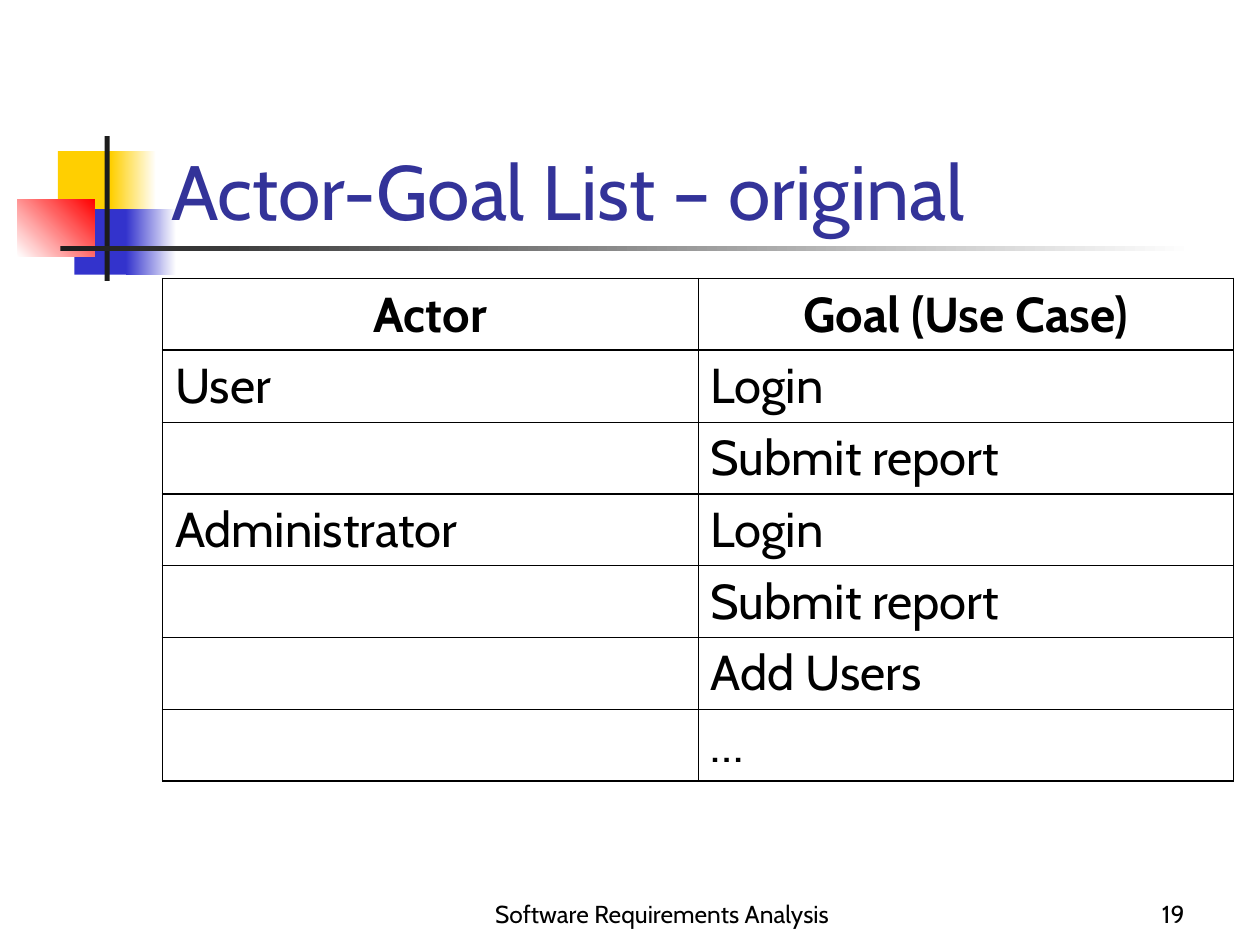
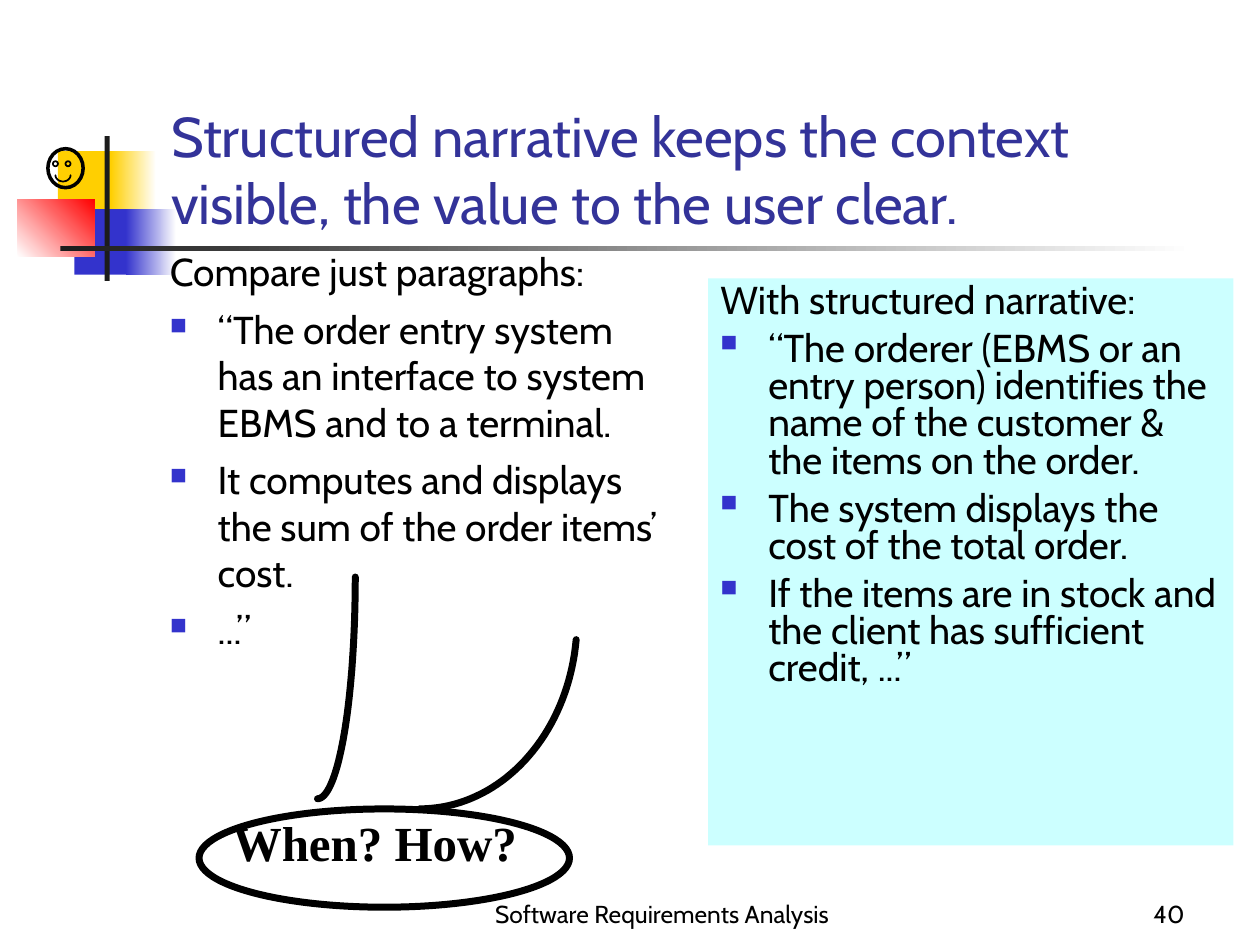
"""Builds two slides on actors, goals and structured narrative."""
from math import cos, radians, sin

from lxml.etree import SubElement
from pptx import Presentation
from pptx.dml.color import RGBColor
from pptx.enum.shapes import MSO_SHAPE
from pptx.enum.text import MSO_ANCHOR, MSO_AUTO_SIZE, PP_ALIGN
from pptx.oxml.ns import qn
from pptx.util import Inches, Pt

BLACK = RGBColor(0x00, 0x00, 0x00)
WHITE = RGBColor(0xFF, 0xFF, 0xFF)
YELLOW = RGBColor(0xFF, 0xCF, 0x01)
BLUE = RGBColor(0x33, 0x33, 0xCC)
RED = RGBColor(0xFF, 0x00, 0x00)
CHARCOAL = RGBColor(0x1C, 0x1C, 0x1C)
TITLE_BLUE = RGBColor(0x33, 0x33, 0x99)
PALE_CYAN = RGBColor(0xCC, 0xFF, 0xFF)
FONT = "Cabin"
CALLOUT_FONT = "Times New Roman"

FOOTER = "Software Requirements Analysis"
GOAL_TITLE = "Actor-Goal List – original"
GOAL_ROWS = [
    ("Actor", "Goal (Use Case)"),
    ("User", "Login"),
    ("", "Submit report"),
    ("Administrator", "Login"),
    ("", "Submit report"),
    ("", "Add Users"),
    ("", "…"),
]
GROUP_ENDS = (0, 2)
THIN, OUTER, HEAVY = 0.45, 1.08, 1.47

NARRATIVE_TITLE = "Structured narrative keeps the context visible, the value to the user clear."
PARAGRAPH_STYLE = [
    "Compare just paragraphs:",
    "“The order entry system has an interface to system EBMS and to a terminal.",
    "It computes and displays the sum of the order items’ cost.",
    "...”",
]
NARRATIVE_STYLE = [
    "With structured narrative:",
    "“The orderer (EBMS or an entry person) identifies the name of the customer & the items on the order.",
    "The system displays the cost of the total order.",
    "If the items are in stock and the client has sufficient credit, ...”",
]
QUESTION = "When? How?"

DECORATION = [
    ((0.46, 1.2, 0.48, 0.52), (YELLOW,), 0),
    ((0.88, 1.2, 0.36, 0.52), (YELLOW, WHITE), 0),
    ((0.59, 1.66, 0.46, 0.52), (BLUE,), 0),
    ((1, 1.66, 0.4, 0.52), (BLUE, WHITE), 0),
    ((0.14, 1.58, 0.61, 0.46), (WHITE, RED), 45),
    ((0.83, 1.08, 0.04, 1.15), (CHARCOAL,), 0),
    ((0.48, 1.95, 9, 0.04), (CHARCOAL, WHITE), 0),
]
FACE_CIRCLES = [
    ((0.38, 1.18, 0.28, 0.31), 2),
    ((0.42, 1.28, 0.04, 0.04), 1),
    ((0.52, 1.28, 0.04, 0.04), 1),
]
QUESTION_OVAL = ((1.58, 6.42, 2.94, 0.78), 4)
ARCS = [
    ((0.5, 1.39), (0.06, 0.05), (0, 180), 1),
    ((2.52, 4.58), (0.3, 1.76), (0, 90), 4),
    ((3.33, 4.92), (1.25, 1.5), (6, 90), 4),
]


def box(bounds):
    return [Inches(length) for length in bounds]


def write(text_frame, lines, size, color=BLACK, font=FONT, bold=False,
          align=PP_ALIGN.LEFT, anchor=MSO_ANCHOR.TOP):
    text_frame.word_wrap = True
    text_frame.vertical_anchor = anchor
    text_frame.text = "\n".join(lines)
    for paragraph in text_frame.paragraphs:
        paragraph.alignment = align
        for run in paragraph.runs:
            run.font.size = Pt(size)
            run.font.name = font
            run.font.bold = bold
            run.font.color.rgb = color


def add_text(slide, bounds, text, size, **style):
    text_frame = slide.shapes.add_textbox(*box(bounds)).text_frame
    write(text_frame, [text], size, **style)
    return text_frame


def add_block(slide, bounds, colors, angle=0):
    shape = slide.shapes.add_shape(MSO_SHAPE.RECTANGLE, *box(bounds))
    shape.shadow.inherit = False
    shape.line.fill.background()
    if len(colors) == 1:
        shape.fill.solid()
        shape.fill.fore_color.rgb = colors[0]
    else:
        shape.fill.gradient()
        shape.fill.gradient_angle = angle
        for stop, color in zip(shape.fill.gradient_stops, colors):
            stop.color.rgb = color
    return shape


def outline(shape, width):
    shape.shadow.inherit = False
    shape.fill.background()
    shape.line.color.rgb = BLACK
    shape.line.width = Pt(width)


def add_oval(slide, bounds, width):
    outline(slide.shapes.add_shape(MSO_SHAPE.OVAL, *box(bounds)), width)


def add_arc(slide, center, radii, angles, width, steps=40):
    start, end = angles
    turns = [radians(start + (end - start) * step / steps) for step in range(steps + 1)]
    points = [(Inches(center[0] + radii[0] * cos(turn)),
               Inches(center[1] + radii[1] * sin(turn))) for turn in turns]
    builder = slide.shapes.build_freeform(*points[0])
    builder.add_line_segments(points[1:], close=False)
    shape = builder.convert_to_shape()
    outline(shape, width)
    shape._element.spPr.find(qn("a:ln")).set("cap", "rnd")


def add_bullets(text_frame, lines, line_spacing=None):
    write(text_frame, lines, 22.2)
    for index, paragraph in enumerate(text_frame.paragraphs):
        paragraph.space_before = Pt(6)
        paragraph.line_spacing = line_spacing
        properties = paragraph._p.get_or_add_pPr()
        properties.set("marL", str(Inches(0.38)))
        properties.set("indent", str(-Inches(0.38)))
        if index == 0:
            SubElement(properties, qn("a:buNone"))
            continue
        bullet_color = SubElement(properties, qn("a:buClr"))
        SubElement(bullet_color, qn("a:srgbClr"), val=str(BLUE))
        SubElement(properties, qn("a:buSzPct"), val="60000")
        SubElement(properties, qn("a:buChar"), char="■")


def set_borders(cell, widths):
    properties = cell._tc.get_or_add_tcPr()
    for index, (side, width) in enumerate(zip("LRTB", widths)):
        line = SubElement(properties, qn(f"a:ln{side}"), w=str(Pt(width)))
        fill = SubElement(line, qn("a:solidFill"))
        SubElement(fill, qn("a:srgbClr"), val=str(BLACK))
        properties.insert(index, line)


def add_goal_table(slide):
    last_row, last_column = len(GOAL_ROWS) - 1, len(GOAL_ROWS[0]) - 1
    bounds = (1.29, 2.21, 8.5, 0.57 * len(GOAL_ROWS))
    table = slide.shapes.add_table(last_row + 1, last_column + 1, *box(bounds)).table
    table.first_row = table.horz_banding = False
    edges = [OUTER] + [HEAVY if row in GROUP_ENDS else THIN for row in range(last_row)] + [OUTER]
    for row, texts in enumerate(GOAL_ROWS):
        for column, text in enumerate(texts):
            cell = table.cell(row, column)
            header = row == 0
            write(cell.text_frame, [text], 28, bold=header,
                  align=PP_ALIGN.CENTER if header else PP_ALIGN.LEFT)
            cell.vertical_anchor = MSO_ANCHOR.MIDDLE if header else MSO_ANCHOR.TOP
            cell.text_frame.paragraphs[0].space_before = Pt(7)
            cell.fill.background()
            set_borders(cell, (OUTER if column == 0 else THIN,
                               OUTER if column == last_column else THIN,
                               edges[row], edges[row + 1]))


def add_slide(presentation, title, title_size, number):
    slide = presentation.slides.add_slide(presentation.slide_layouts[6])
    for bounds, colors, angle in DECORATION:
        add_block(slide, bounds, colors, angle)
    add_text(slide, (3.67, 6.92, 3.17, 0.5), FOOTER, 14,
             align=PP_ALIGN.CENTER, anchor=MSO_ANCHOR.BOTTOM)
    add_text(slide, (7.42, 6.92, 2.08, 0.5), number, 14,
             align=PP_ALIGN.RIGHT, anchor=MSO_ANCHOR.BOTTOM)
    add_text(slide, (1.26, 0.67, 8.52, 1.25), title, title_size,
             color=TITLE_BLUE, anchor=MSO_ANCHOR.BOTTOM)
    return slide


def add_narrative(slide):
    left_column = slide.shapes.add_textbox(*box((1.25, 1.92, 4.17, 4.5)))
    add_bullets(left_column.text_frame, PARAGRAPH_STYLE)
    panel = add_block(slide, (5.62, 2.21, 4.17, 4.5), (PALE_CYAN,))
    add_bullets(panel.text_frame, NARRATIVE_STYLE, line_spacing=0.8)
    for bounds, width in FACE_CIRCLES + [QUESTION_OVAL]:
        add_oval(slide, bounds, width)
    question = add_text(slide, (1.75, 6.4, 2.5, 0.56), QUESTION, 28,
                        font=CALLOUT_FONT, bold=True)
    question.word_wrap = False
    question.auto_size = MSO_AUTO_SIZE.SHAPE_TO_FIT_TEXT
    for arc in ARCS:
        add_arc(slide, *arc)


def main():
    presentation = Presentation()
    presentation.slide_width, presentation.slide_height = Inches(10), Inches(7.5)
    add_goal_table(add_slide(presentation, GOAL_TITLE, 44, "19"))
    add_narrative(add_slide(presentation, NARRATIVE_TITLE, 32, "40"))
    presentation.save("out.pptx")


if __name__ == "__main__":
    main()
